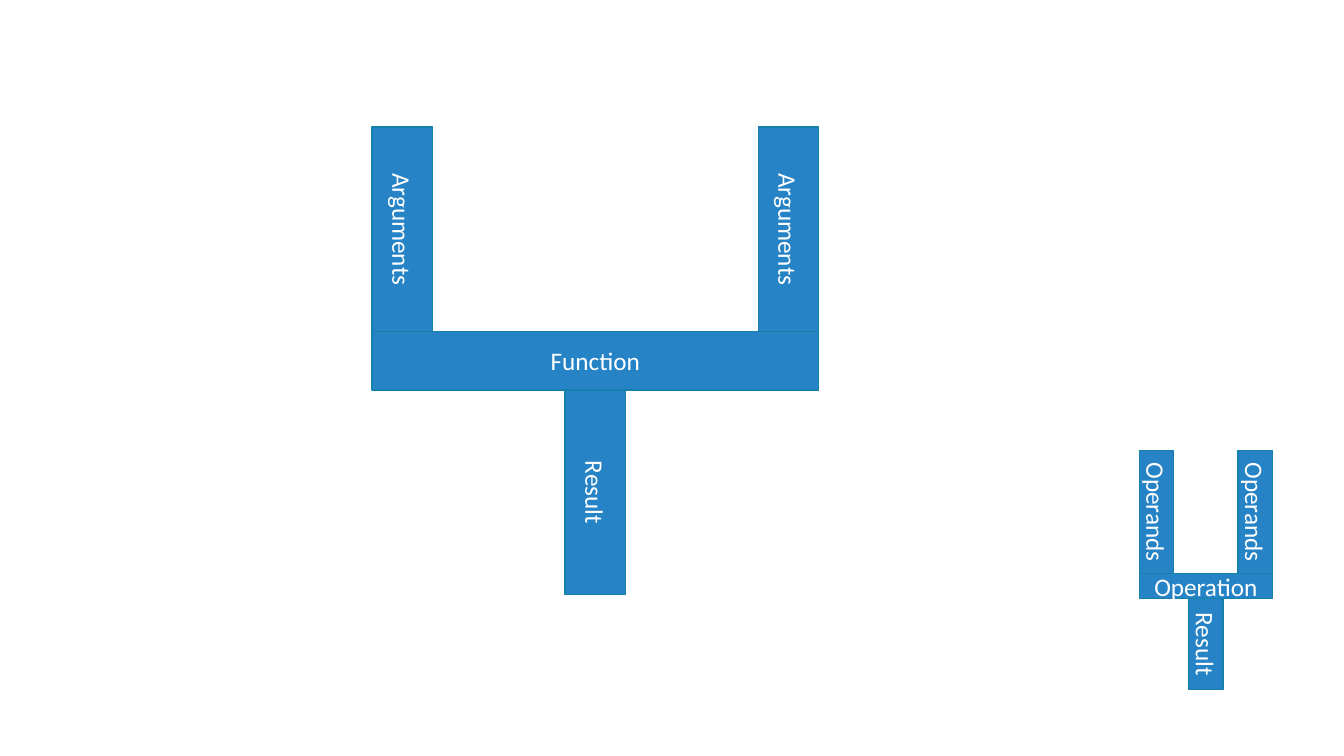
from pptx import Presentation
from pptx.dml.color import RGBColor
from pptx.enum.shapes import MSO_SHAPE
from pptx.enum.text import MSO_ANCHOR, PP_ALIGN
from pptx.util import Inches, Pt

RECT = MSO_SHAPE.RECTANGLE
MIDDLE = MSO_ANCHOR.MIDDLE
CENTER = PP_ALIGN.CENTER
COLORS = {"fill": "2683C6", "line": "1580A9", "text": "FFFFFF"}
BLANK_LAYOUT = 6


class Diagram:
    font = {"name": "Calibri", "size": Pt(18)}
    frame = {"vertical_anchor": MIDDLE, "word_wrap": True}

    def __init__(self, slide):
        self.slide = slide

    def color(self, name):
        return RGBColor.from_string(COLORS[name])

    def block(self, text, left, top, width, height, rotation=0):
        s = self.slide.shapes.add_shape(
            RECT, Inches(left), Inches(top), Inches(width), Inches(height))
        s.rotation = rotation
        s.shadow.inherit = False
        s.fill.solid()
        s.fill.fore_color.rgb = self.color("fill")
        s.line.color.rgb = self.color("line")
        s.line.width = Pt(1)
        tf = s.text_frame
        for key, value in self.frame.items():
            setattr(tf, key, value)
        p = tf.paragraphs[0]
        p.alignment = CENTER
        r = p.add_run()
        r.text = text
        for key, value in self.font.items():
            setattr(r.font, key, value)
        r.font.color.rgb = self.color("text")

    def upright(self, text, center_x, top, length, thickness):
        self.block(text, center_x - length / 2, top + (length - thickness) / 2,
                   length, thickness, 90)

    def fork(self, labels, bar, thickness, input_length, result_length):
        body, inputs, result = labels
        left, top, width, height = bar
        self.block(body, left, top, width, height)
        for center_x in (left + thickness / 2, left + width - thickness / 2):
            self.upright(inputs, center_x, top - input_length, input_length, thickness)
        self.upright(result, left + width / 2, top + height, result_length, thickness)


def main():
    prs = Presentation()
    prs.slide_width = Inches(13.33)
    prs.slide_height = Inches(7.5)
    diagram = Diagram(prs.slides.add_slide(prs.slide_layouts[BLANK_LAYOUT]))
    diagram.fork(("Function", "Arguments", "Result"),
                 (3.69, 3.29, 4.43, 0.58), 0.6, 2.03, 2.03)
    diagram.fork(("Operation", "Operands", "Result"),
                 (11.3, 5.69, 1.32, 0.25), 0.34, 1.22, 0.9)
    prs.save("out.pptx")


if __name__ == "__main__":
    main()
